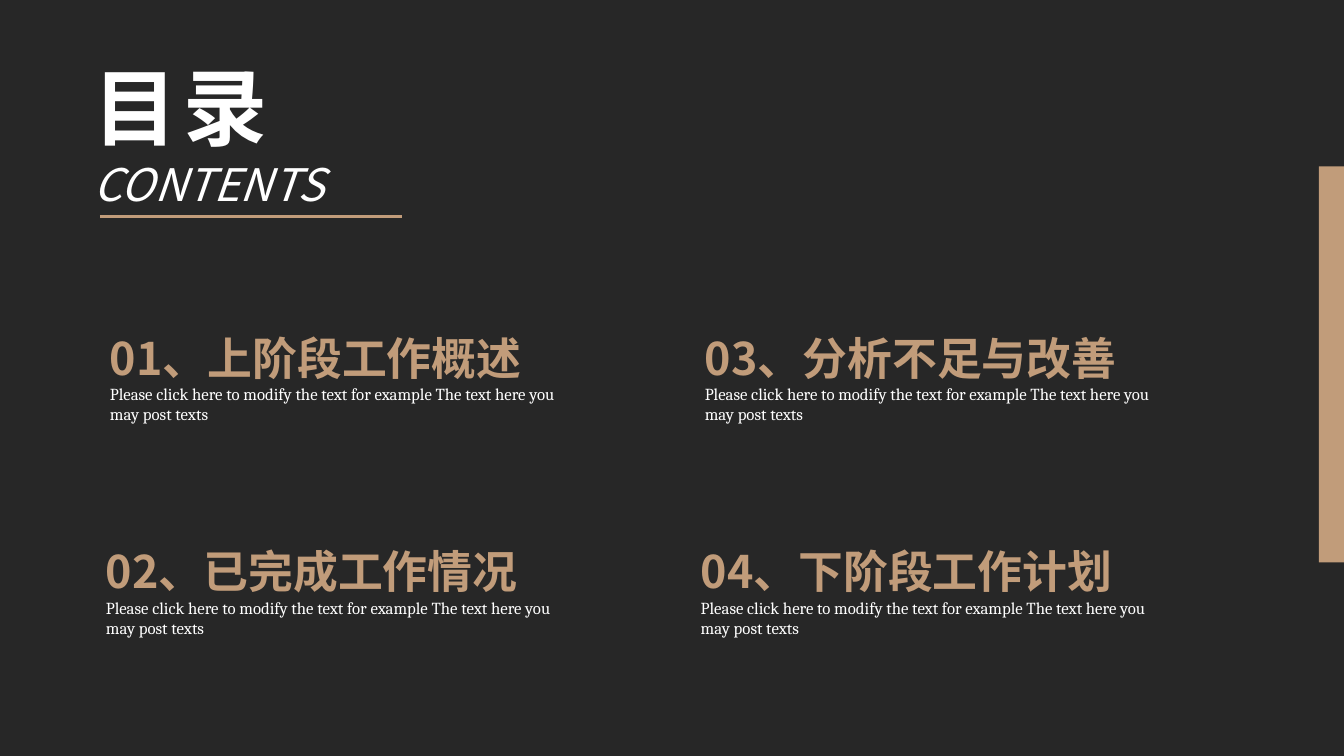
from lxml.etree import SubElement
from pptx import Presentation
from pptx.dml.color import RGBColor
from pptx.enum.shapes import MSO_CONNECTOR, MSO_SHAPE
from pptx.enum.text import MSO_ANCHOR, MSO_AUTO_SIZE, PP_ALIGN
from pptx.oxml.ns import qn
from pptx.util import Inches, Pt

DARK, GOLD, WHITE = "272727", "C19C7A", "FFFFFF"
HEADING_FONT, NOTE_FONT = "Noto Sans CJK SC", "Cambria"
NOTE = "Please click here to modify the text for example The text here you may post texts"
TOPICS = ["01、上阶段工作概述", "02、已完成工作情况", "03、分析不足与改善", "04、下阶段工作计划"]
ROWS = 2
COLUMN_STEP, ROW_STEP, ROW_SHIFT = 5.9, 2.12, -0.04


def colour(hex_code):
    """Turn a hex string into a colour."""
    return RGBColor.from_string(hex_code)


def prepare(placeholder, box):
    """Place a placeholder in its box and return its text frame."""
    placeholder.left, placeholder.top, placeholder.width, placeholder.height = map(Inches, box)
    frame = placeholder.text_frame
    frame.word_wrap = True
    frame.auto_size = MSO_AUTO_SIZE.SHAPE_TO_FIT_TEXT
    frame.vertical_anchor = MSO_ANCHOR.TOP
    return frame


def write(paragraph, words, size, font_name, hex_code, bold=False, italic=False,
          tracking=0, line_spacing=1.0):
    """Write one unbulleted left-aligned run into a paragraph."""
    paragraph.alignment = PP_ALIGN.LEFT
    paragraph.line_spacing = line_spacing
    paragraph.space_before = Pt(0)
    properties = paragraph._p.get_or_add_pPr()
    properties.set("marL", "0")
    properties.set("indent", "0")
    SubElement(properties, qn("a:buNone"))
    run = paragraph.add_run()
    run.text = words
    font = run.font
    font.size, font.name, font.bold, font.italic = Pt(size), font_name, bold, italic
    font.color.rgb = colour(hex_code)
    run_properties = run._r.get_or_add_rPr()
    run_properties.set("spc", str(tracking * 100))
    SubElement(run_properties, qn("a:ea")).set("typeface", font_name)


def add_heading(slide, box):
    """Fill the title and underline it."""
    left, top, width, height = box
    frame = prepare(slide.shapes.title, box)
    write(frame.paragraphs[0], "目录", 60, HEADING_FONT, WHITE, bold=True, tracking=4)
    write(frame.add_paragraph(), "CONTENTS", 32, HEADING_FONT, WHITE, italic=True)
    start, bottom = left + 0.16, top + height
    underline = slide.shapes.add_connector(
        MSO_CONNECTOR.STRAIGHT, Inches(start), Inches(bottom), Inches(start + 3), Inches(bottom))
    underline.line.color.rgb = colour(GOLD)
    underline.line.width = Pt(2.25)
    SubElement(underline._element.spPr, qn("a:effectLst"))


def add_topic(placeholder, topic, box):
    """Fill one entry with its heading and note."""
    frame = prepare(placeholder, box)
    write(frame.paragraphs[0], topic, 32, HEADING_FONT, GOLD, bold=True, line_spacing=1.5)
    write(frame.add_paragraph(), NOTE, 12, NOTE_FONT, WHITE)


def add_topics(slide, box):
    """Lay out the entries column by column from the first entry's box."""
    left, top, width, height = box
    bodies = [body for body in slide.placeholders if body.placeholder_format.idx > 0]
    for index, (body, topic) in enumerate(zip(bodies, TOPICS)):
        column, row = divmod(index, ROWS)
        add_topic(body, topic, (left + column * COLUMN_STEP + row * ROW_SHIFT,
                                top + row * ROW_STEP, width, height))


def add_side_bar(slide, box):
    """Draw the plain bar on the slide's edge."""
    bar = slide.shapes.add_shape(MSO_SHAPE.RECTANGLE, *map(Inches, box))
    bar.shadow.inherit = False
    bar.fill.solid()
    bar.fill.fore_color.rgb = colour(GOLD)
    bar.line.fill.background()


def main():
    """Build and save the contents slide."""
    deck = Presentation()
    deck.slide_width, deck.slide_height = Inches(13.33), Inches(7.5)
    slide = deck.slides.add_slide(deck.slide_layouts.get_by_name("Comparison"))
    slide.background.fill.solid()
    slide.background.fill.fore_color.rgb = colour(DARK)
    add_heading(slide, (0.83, 0.5, 2.99, 1.65))
    add_topics(slide, (0.99, 2.96, 4.72, 1.31))
    add_side_bar(slide, (13.08, 1.65, 0.25, 3.93))
    deck.save("out.pptx")


if __name__ == "__main__":
    main()
